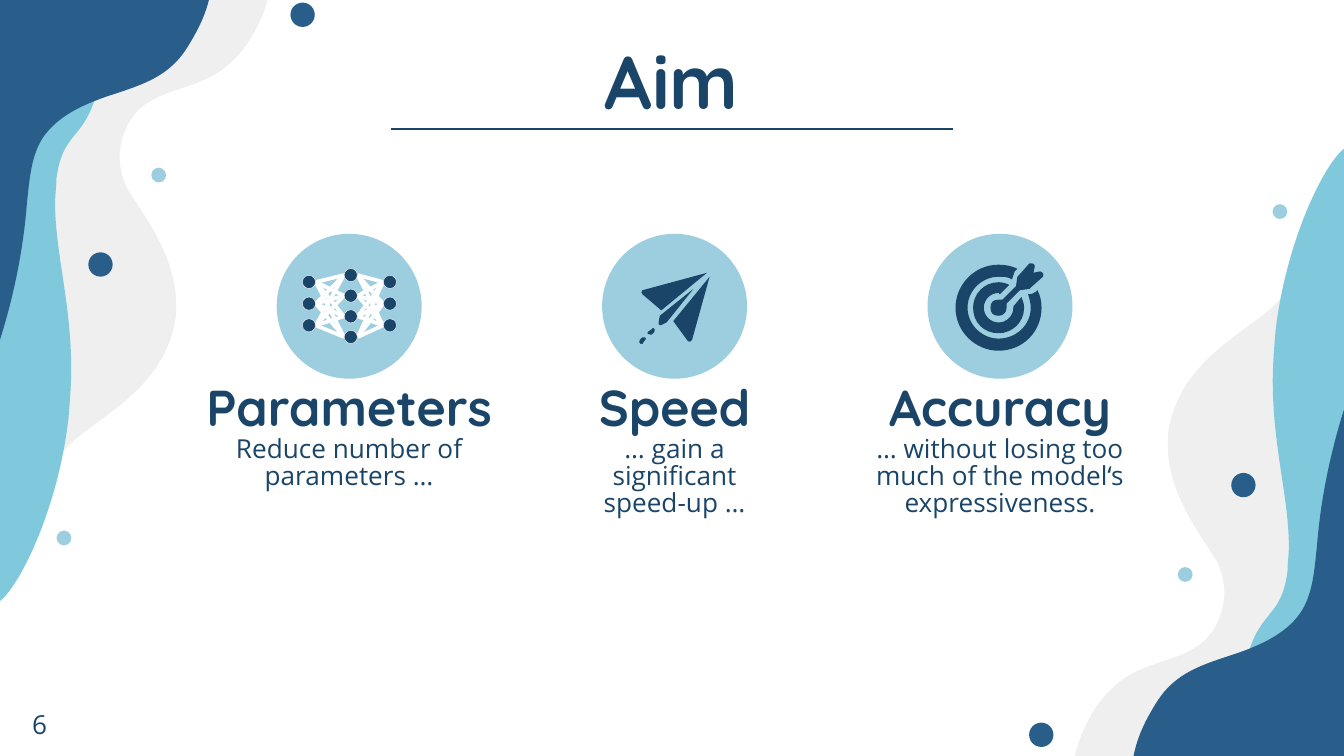
from lxml.etree import SubElement
from pptx import Presentation
from pptx.dml.color import RGBColor
from pptx.enum.shapes import MSO_CONNECTOR, MSO_SHAPE
from pptx.enum.text import MSO_ANCHOR, PP_ALIGN
from pptx.oxml.ns import qn
from pptx.util import Cm, Pt

NAVY, BLUE, TEAL, SKY, GREY, WHITE = "1A4568", "285E89", "80C9DD", "9DCEDF", "EFEFEF", "FFFFFF"


def add_circle(shapes, center_x, center_y, diameter, colour, border=None):
    circle = shapes.add_shape(
        MSO_SHAPE.OVAL, Cm(center_x - diameter / 2), Cm(center_y - diameter / 2),
        Cm(diameter), Cm(diameter))
    circle.shadow.inherit = False
    circle.fill.solid()
    circle.fill.fore_color.rgb = RGBColor.from_string(colour)
    if border:
        circle.line.color.rgb = RGBColor.from_string(border)
        circle.line.width = Pt(0.25)
    else:
        circle.line.fill.background()


def add_outline(shapes, steps, colour):
    """Steps are in inches: (x, y) is a corner, (x1, y1, x2, y2, x, y) a Bézier curve."""
    points = [(100 * step[i], 100 * step[i + 1]) for step in steps for i in range(0, len(step), 2)]
    builder = shapes.build_freeform(*points[0], scale=Cm(0.0254))
    builder.add_line_segments(points[1:], close=True)
    outline = builder.convert_to_shape()
    # Join each three segments that stand for a curve into one Bézier segment
    segments = iter(list(outline._element.iter(qn("a:lnTo"))))
    for step in steps[1:]:
        segment = next(segments)
        if len(step) == 6:
            segment.tag = qn("a:cubicBezTo")
            for _ in range(2):
                following = next(segments)
                segment.append(following[0])
                following.getparent().remove(following)
    outline.shadow.inherit = False
    outline.fill.solid()
    outline.fill.fore_color.rgb = RGBColor.from_string(colour)
    outline.line.fill.background()


presentation = Presentation()
presentation.slide_width, presentation.slide_height = Cm(25.4), Cm(14.29)
slide = presentation.slides.add_slide(presentation.slide_layouts[6])

# Waves and dots: the right side is the left side turned by half
waves = [
    (GREY, [(0.15, 3.68), (0.15, 3.88, 0.16, 4.06, 0.19, 4.04), (0.22, 4.03, 0.26, 3.75, 0.28, 3.7),
            (0.33, 3.56, 0.4, 3.45, 0.48, 3.35), (0.67, 3.12, 1.24, 2.92, 1.31, 2.34),
            (1.31, 2.31, 1.31, 2.29, 1.31, 2.26), (1.31, 1.87, 1.01, 1.53, 0.94, 1.39),
            (0.91, 1.32, 0.89, 1.24, 0.89, 1.17), (0.89, 1.09, 0.91, 1.02, 0.94, 0.95),
            (1.06, 0.69, 1.33, 0.69, 1.55, 0.58), (1.82, 0.45, 2, 0.13, 2.04, -0.25),
            (1.46, -0.22, 0.88, -0.27, 0.3, -0.38), (0.24, 0.11, 0.22, 0.61, 0.21, 1.11),
            (0.19, 1.8, 0.18, 2.48, 0.16, 3.17), (0.16, 3.22, 0.15, 3.46, 0.15, 3.68)]),
    (TEAL, [(-0.4, 2.33), (-0.4, 3.04, -0.37, 3.75, -0.29, 4.59),
            (-0.22, 4.53, -0.07, 4.52, -0.01, 4.48), (0.13, 4.39, 0.43, 3.81, 0.51, 3.11),
            (0.52, 2.98, 0.53, 2.86, 0.53, 2.75), (0.53, 2.25, 0.41, 1.88, 0.41, 1.51),
            (0.41, 1.45, 0.42, 1.39, 0.42, 1.33), (0.48, 0.85, 0.76, 1.15, 0.79, 0.08),
            (0.42, 0.21, 0.05, 0.18, -0.32, 0.14), (-0.37, 0.95, -0.4, 1.64, -0.4, 2.33)]),
    (BLUE, [(1.58, -0.19), (1.58, -0.27, 1.57, -0.34, 1.54, -0.4),
            (1.51, -0.46, 1.49, -0.46, 1.42, -0.45), (1.26, -0.42, 1.09, -0.4, 0.93, -0.37),
            (0.45, -0.3), (0.3, -0.27, 0.13, -0.22, -0.02, -0.22), (-0.07, -0.18),
            (-0.08, 0.25, -0.08, 0.67, -0.08, 1.1), (-0.08, 1.63, -0.07, 2.15, -0.05, 2.68),
            (0.08, 2.31, 0.17, 1.91, 0.2, 1.52), (0.22, 1.34, 0.23, 1.15, 0.33, 1.01),
            (0.44, 0.86, 0.62, 0.78, 0.79, 0.72), (0.97, 0.66, 1.15, 0.61, 1.28, 0.49),
            (1.36, 0.42, 1.41, 0.33, 1.46, 0.24), (1.53, 0.11, 1.58, -0.04, 1.58, -0.19)]),
]
dots = [(1.21, 10.17, 0.28, SKY), (1.9, 5, 0.46, BLUE), (3, 3.31, 0.28, SKY), (5.72, 0.28, 0.46, BLUE)]
for turned in (False, True):
    for colour, steps in waves:
        if turned:
            steps = [tuple((5.58 if i % 2 else 10) - value for i, value in enumerate(step))
                     for step in steps]
        add_outline(slide.shapes, steps, colour)
    for x, y, diameter, colour in dots:
        if turned:
            x, y = 25.4 - x, 14.17 - y
        add_circle(slide.shapes, x, y, diameter, colour)

# Texts: left, top, width, height, anchor, font, size, bold, line spacing, paragraphs
texts = [
    (7.9, 0.41, 9.58, 2.06, MSO_ANCHOR.TOP, "Quicksand", 40, True, 1, ["Aim"]),
    (0, 13.06, 1.5, 1.24, MSO_ANCHOR.MIDDLE, "Open Sans", 14, False, 1, ["6"]),
]
columns = [
    ("Parameters", 7.34, ["Reduce number of", "parameters …"]),
    ("Speed", 4.09, ["… gain a significant speed-up …"]),
    ("Accuracy", 5.77, ["… without losing too much of the model‘s expressiveness."]),
]
for i, (heading, body_width, body) in enumerate(columns):
    center = 6.6 + 6.15 * i
    add_circle(slide.shapes, center, 5.79, 2.74, SKY)
    texts.append((center - 4, 7.19, 8, 1, MSO_ANCHOR.MIDDLE, "Quicksand", 27, True, 1, [heading]))
    texts.append((center - body_width / 2, 8, body_width, 2.18, MSO_ANCHOR.TOP,
                  "Open Sans", 14, False, 0.87, body))

for left, top, width, height, anchor, font, size, bold, spacing, lines in texts:
    frame = slide.shapes.add_textbox(Cm(left), Cm(top), Cm(width), Cm(height)).text_frame
    frame.word_wrap = True
    frame.vertical_anchor = anchor
    frame.margin_left = frame.margin_right = frame.margin_top = frame.margin_bottom = Cm(0.25)
    for i, line in enumerate(lines):
        paragraph = frame.add_paragraph() if i else frame.paragraphs[0]
        paragraph.alignment = PP_ALIGN.CENTER
        paragraph.line_spacing = spacing
        run = paragraph.add_run()
        run.text = line
        run.font.name, run.font.size, run.font.bold = font, Pt(size), bold
        run.font.color.rgb = RGBColor.from_string(NAVY)

# Neural network icon, with the line under the title drawn in the same way
network = slide.shapes.add_group_shape().shapes
outer_rows = [5.33 + 0.41 * i for i in range(3)]
layers = [(5.84, outer_rows), (6.63, [5.2 + 0.39 * i for i in range(4)]), (7.37, outer_rows)]
lines = [(slide.shapes, 7.39, 2.44, 18.01, 2.44, NAVY, 1.25)]
for (start_x, starts), (end_x, ends) in zip(layers, layers[1:]):
    lines += [(network, start_x + 0.13, start_y, end_x - 0.13, end_y, WHITE, 0)
              for start_y in starts for end_y in ends]
for shapes, start_x, start_y, end_x, end_y, colour, width in lines:
    connector = shapes.add_connector(
        MSO_CONNECTOR.STRAIGHT, Cm(start_x), Cm(start_y), Cm(end_x), Cm(end_y))
    connector.line.color.rgb = RGBColor.from_string(colour)
    connector.line.width = Pt(width)
    SubElement(connector._element.spPr, qn("a:effectLst"))
for x, rows in layers:
    for y in rows:
        add_circle(network, x, y, 0.25, NAVY, GREY)

# Paper plane and target icons
plane = [
    [(4.79, 2.51), (4.78, 2.51), (4.76, 2.53), (4.75, 2.54, 4.76, 2.56, 4.77, 2.56), (4.78, 2.56),
     (4.8, 2.53), (4.81, 2.53, 4.81, 2.52, 4.8, 2.51)],
    [(4.86, 2.44), (4.85, 2.45), (4.82, 2.47), (4.81, 2.48, 4.82, 2.49, 4.84, 2.49), (4.85, 2.49),
     (4.87, 2.47), (4.88, 2.46, 4.87, 2.44, 4.86, 2.44)],
    [(5.26, 2.03), (4.78, 2.16), (4.77, 2.17, 4.77, 2.18, 4.78, 2.19), (4.92, 2.31)],
    [(5.28, 2.06), (5.01, 2.39), (5.12, 2.54), (5.13, 2.54, 5.14, 2.55, 5.15, 2.53)],
    [(5.16, 2.15), (4.91, 2.35), (4.9, 2.4), (4.9, 2.41, 4.9, 2.42, 4.91, 2.42), (4.92, 2.42),
     (4.96, 2.4)],
]
target = [
    [(7.68, 1.96), (7.66, 1.96), (7.58, 2.05), (7.57, 2.06), (7.56, 2.13), (7.46, 2.23),
     (7.45, 2.23, 7.44, 2.23, 7.43, 2.23), (7.39, 2.23, 7.37, 2.25, 7.37, 2.29),
     (7.37, 2.33, 7.39, 2.35, 7.43, 2.35), (7.46, 2.35, 7.49, 2.33, 7.49, 2.29), (7.49, 2.26),
     (7.59, 2.16), (7.66, 2.15), (7.67, 2.14), (7.76, 2.06), (7.77, 2.04, 7.76, 2.02, 7.74, 2.02),
     (7.69, 2.03), (7.7, 1.98), (7.7, 1.97, 7.69, 1.96, 7.68, 1.96)],
    [(7.43, 2.1), (7.32, 2.1, 7.24, 2.19, 7.24, 2.29), (7.24, 2.4, 7.32, 2.48, 7.43, 2.48),
     (7.53, 2.48, 7.62, 2.4, 7.62, 2.29), (7.62, 2.26, 7.61, 2.24, 7.6, 2.21), (7.54, 2.28),
     (7.54, 2.29), (7.54, 2.35, 7.49, 2.4, 7.43, 2.4), (7.37, 2.4, 7.32, 2.35, 7.32, 2.29),
     (7.32, 2.23, 7.37, 2.18, 7.43, 2.18), (7.44, 2.19), (7.51, 2.12),
     (7.49, 2.11, 7.46, 2.1, 7.43, 2.1)],
    [(7.43, 1.97), (7.25, 1.97, 7.11, 2.12, 7.11, 2.29), (7.11, 2.47, 7.26, 2.61, 7.43, 2.61),
     (7.61, 2.61, 7.75, 2.47, 7.75, 2.29), (7.75, 2.24, 7.74, 2.2, 7.72, 2.16), (7.71, 2.17),
     (7.69, 2.18, 7.68, 2.19, 7.67, 2.19), (7.65, 2.19), (7.66, 2.22, 7.67, 2.26, 7.67, 2.29),
     (7.67, 2.42, 7.56, 2.52, 7.43, 2.52), (7.31, 2.52, 7.2, 2.42, 7.2, 2.29),
     (7.2, 2.16, 7.31, 2.06, 7.43, 2.06), (7.47, 2.06, 7.5, 2.06, 7.53, 2.08), (7.54, 2.05),
     (7.54, 2.04, 7.54, 2.03, 7.55, 2.02), (7.57, 2), (7.53, 1.98, 7.48, 1.97, 7.43, 1.97)],
]
for icon in (plane, target):
    group = slide.shapes.add_group_shape()
    for steps in icon:
        add_outline(group.shapes, steps, NAVY)

presentation.save("out.pptx")
